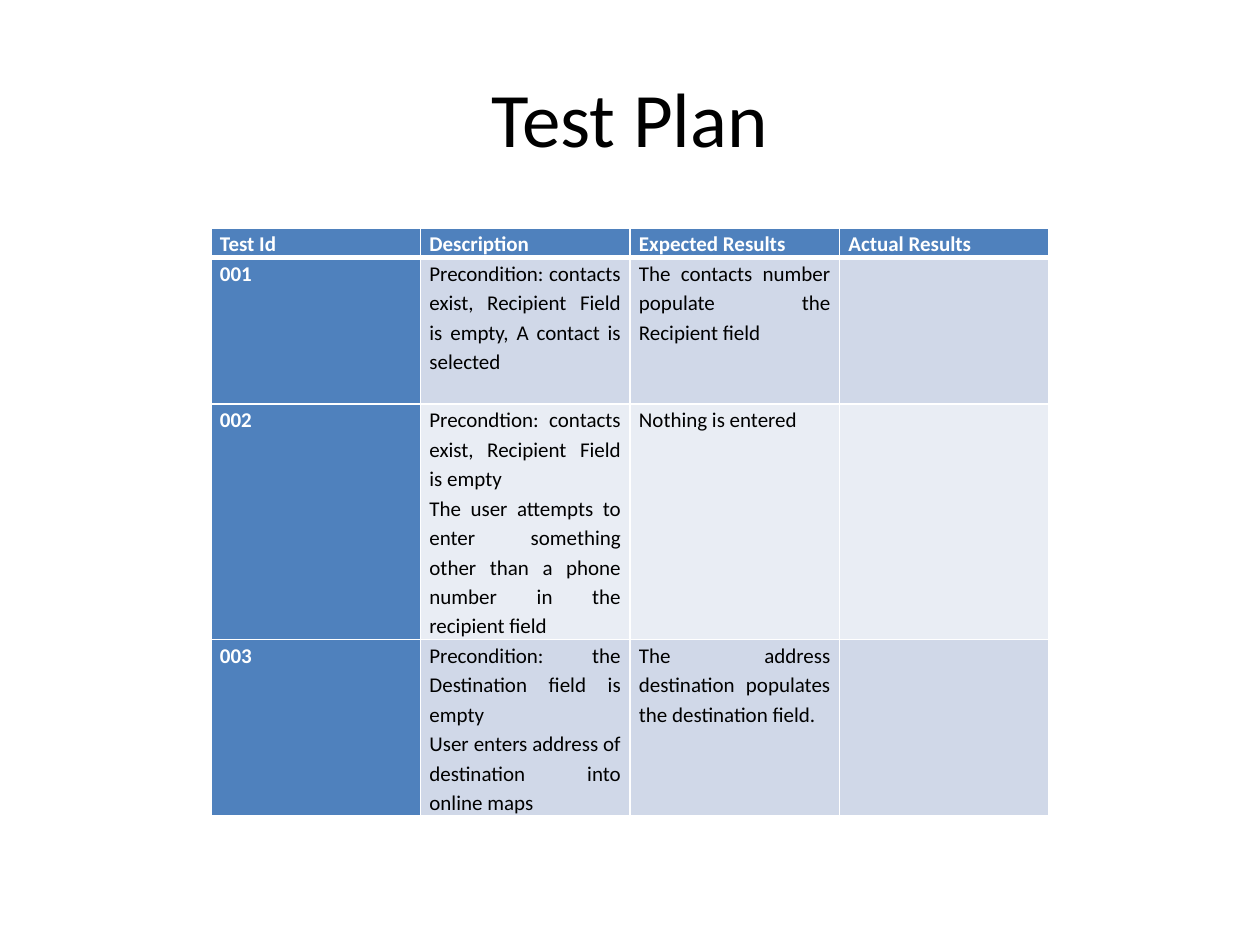
from lxml import etree
from pptx import Presentation
from pptx.dml.color import RGBColor
from pptx.enum.text import MSO_ANCHOR, PP_ALIGN
from pptx.oxml.ns import qn
from pptx.util import Pt

CENTER, JUSTIFY = PP_ALIGN.CENTER, PP_ALIGN.JUSTIFY
MIDDLE, TOP = MSO_ANCHOR.MIDDLE, MSO_ANCHOR.TOP
PX = 914400 // 126
FONT = "Calibri"
COLORS = {
    "ink": "000000",
    "white": "FFFFFF",
    "accent": "4F81BD",
    "odd_band": "D0D8E8",
    "even_band": "E9EDF4",
}
TITLE_BOX = (63, 38, 1134, 157)
PLAN_BOX = (211, 228, 838, 587)
LINES_PER_ROW = [1, 5, 8, 6]
TEST_PLAN = [
    ["Test Id", "Description", "Expected Results", "Actual Results"],
    [
        "001",
        "Precondition: contacts exist, Recipient Field is empty, A contact is selected ",
        "The contacts number populate the Recipient field",
        "",
    ],
    [
        "002",
        "Precondtion: contacts exist, Recipient Field is empty\n"
        "The user attempts to enter something other than a phone number "
        "in the recipient field ",
        "Nothing is entered",
        "",
    ],
    [
        "003",
        "Precondition: the Destination field is empty\n"
        "User enters address of destination into online maps",
        "The address destination populates the destination field.",
        "",
    ],
]


def px(length):
    return round(length * PX)


def color(name):
    return RGBColor.from_string(COLORS[name])


def apply(target, values):
    for name, value in values.items():
        setattr(target, name, value)


def write(frame, text, paragraph_format, font_format, ink):
    frame.text = text
    for paragraph in frame.paragraphs:
        apply(paragraph, paragraph_format)
        apply(paragraph.font, font_format)
        paragraph.font.color.rgb = color(ink)
        for run in paragraph.runs:
            apply(run.font, font_format)
            run.font.color.rgb = color(ink)


def add_borders(cell, widths):
    properties = cell._tc.get_or_add_tcPr()
    for position, (side, width) in enumerate(widths.items()):
        border = etree.Element(qn(f"a:{side}"), w=str(Pt(width)))
        fill = etree.SubElement(border, qn("a:solidFill"))
        etree.SubElement(fill, qn("a:srgbClr"), val=COLORS["white"])
        properties.insert(position, border)


def place_title(slide, box):
    left, top, width, height = map(px, box)
    title = slide.shapes.title
    apply(title, {"left": left, "top": top, "width": width, "height": height})
    apply(title.text_frame, {"vertical_anchor": MIDDLE, "word_wrap": True})
    write(
        title.text_frame,
        "Test Plan",
        {"alignment": CENTER},
        {"name": FONT, "size": Pt(44), "bold": False},
        "ink",
    )


def format_cell(cell, text, row, column):
    is_heading = row == 0 or column == 0
    band = "odd_band" if row % 2 else "even_band"
    cell.fill.solid()
    cell.fill.fore_color.rgb = color("accent" if is_heading else band)
    apply(cell, {
        "margin_left": px(9),
        "margin_right": px(9),
        "margin_top": 0,
        "margin_bottom": 0,
        "vertical_anchor": TOP,
    })
    write(
        cell.text_frame,
        text,
        {"alignment": JUSTIFY, "line_spacing": 1.15},
        {"name": FONT, "size": Pt(12), "bold": is_heading},
        "white" if is_heading else "ink",
    )
    add_borders(cell, {
        "lnL": 1,
        "lnR": 1,
        "lnT": 3 if row == 1 else 1,
        "lnB": 3 if row == 0 else 1,
    })


def place_test_plan(slide, box):
    plan = slide.shapes.add_table(
        len(TEST_PLAN), len(TEST_PLAN[0]), *map(px, box)
    ).table
    line_height = box[3] / sum(LINES_PER_ROW)
    for row, (texts, lines) in enumerate(zip(TEST_PLAN, LINES_PER_ROW)):
        plan.rows[row].height = px(lines * line_height)
        for column, text in enumerate(texts):
            format_cell(plan.cell(row, column), text, row, column)


def build_test_plan_slide(deck):
    slide = deck.slides.add_slide(deck.slide_layouts[5])
    slide.background.fill.solid()
    slide.background.fill.fore_color.rgb = color("white")
    place_title(slide, TITLE_BOX)
    place_test_plan(slide, PLAN_BOX)


deck = Presentation()
apply(deck, {"slide_width": px(1260), "slide_height": px(945)})
build_test_plan_slide(deck)
deck.save("out.pptx")
